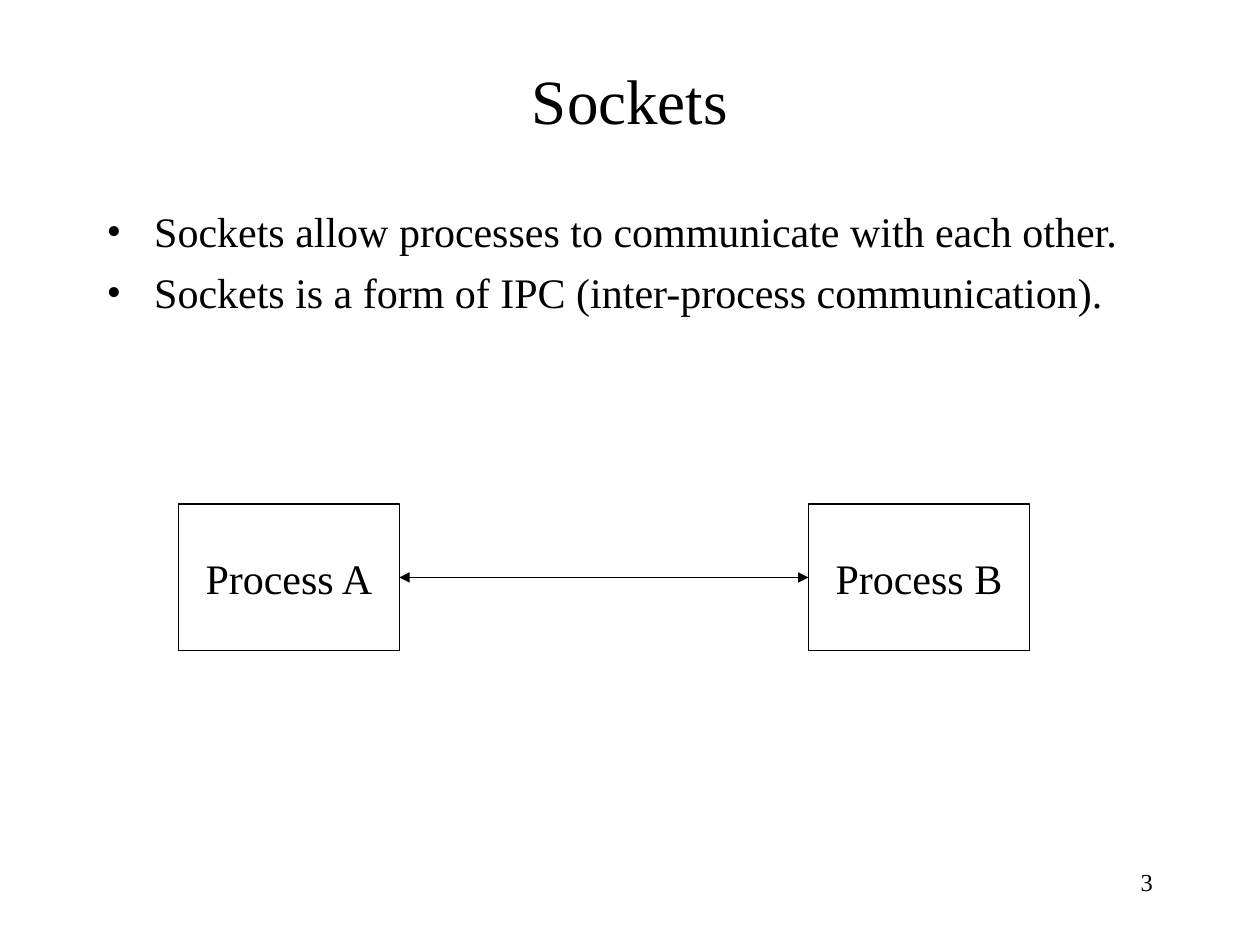
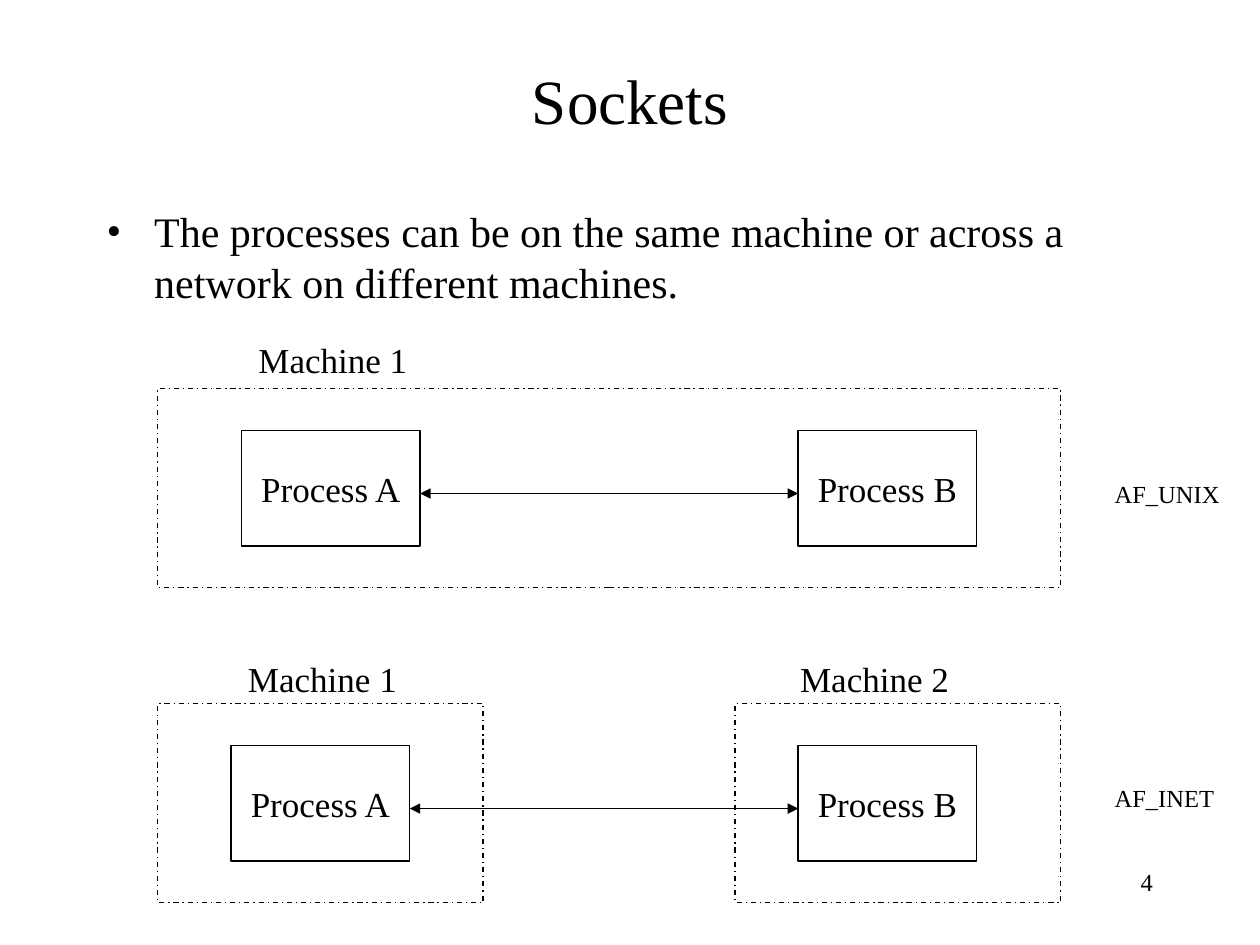
from lxml.etree import SubElement
from pptx import Presentation
from pptx.dml.color import RGBColor
from pptx.enum.dml import MSO_LINE
from pptx.enum.shapes import MSO_CONNECTOR, MSO_SHAPE
from pptx.enum.text import MSO_ANCHOR, PP_ALIGN
from pptx.oxml.ns import qn
from pptx.util import Cm, Pt

BLACK = RGBColor(0, 0, 0)
FONT = "Times New Roman"
LINE_WIDTH = Pt(0.75)
FIRST_NUMBER = 3
INDENT = Cm(0.96)

TITLE_BOX = (1.9, 0.42, 21.6, 3.18)
BODY_BOX = (1.9, 4.02, 21.6, 14.4)
NUMBER_BOX = (18.2, 17.35, 5.29, 1.27)

SLIDES = [
    {
        "title": "Sockets",
        "bullets": [
            "Sockets allow processes to communicate with each other.",
            "Sockets is a form of IPC (inter-process communication).",
        ],
        "pairs": [
            {"lefts": (3.6, 16.3), "top": 10.16, "size": (4.45, 2.96),
             "arrow_drop": 1.48, "font_size": 24},
        ],
        "machines": [],
        "labels": [],
    },
    {
        "title": "Sockets",
        "bullets": [
            "The processes can be on the same machine or across a network "
            "on different machines.",
        ],
        "pairs": [
            {"lefts": (4.87, 16.09), "top": 8.68, "size": (3.6, 2.33),
             "arrow_drop": 1.27, "font_size": 20},
            {"lefts": (4.66, 16.09), "top": 15.03, "size": (3.6, 2.33),
             "arrow_drop": 1.27, "font_size": 20},
        ],
        "machines": [
            (3.18, 7.83, 18.2, 4.02),
            (3.18, 14.18, 6.56, 4.02),
            (14.82, 14.18, 6.56, 4.02),
        ],
        "labels": [
            ("Machine 1", 20, (4.96, 6.7, 3.8, 1.12)),
            ("Machine 1", 20, (4.75, 13.13, 3.8, 1.12)),
            ("Machine 2", 20, (15.88, 13.13, 3.8, 1.12)),
            ("AF_UNIX", 14, (22.22, 9.53, 2.8, 0.86)),
            ("AF_INET", 14, (22.22, 15.66, 2.8, 0.86)),
        ],
    },
]


def lengths(box):
    return [Cm(value) for value in box]


def write_text(shape, *lines, size=24, align=PP_ALIGN.LEFT,
               anchor=MSO_ANCHOR.TOP, wrap=True, bullet=False):
    frame = shape.text_frame
    frame.text = "\n".join(lines)
    frame.word_wrap = wrap
    frame.vertical_anchor = anchor
    frame.margin_left = frame.margin_right = Cm(0.25)
    frame.margin_top = frame.margin_bottom = Cm(0.13)
    for paragraph in frame.paragraphs:
        paragraph.alignment = align
        for run in paragraph.runs:
            run.font.name = FONT
            run.font.size = Pt(size)
            run.font.color.rgb = BLACK
        if bullet:
            paragraph.space_before = Pt(6)
            properties = paragraph._p.get_or_add_pPr()
            properties.set("marL", str(INDENT))
            properties.set("indent", str(-INDENT))
            SubElement(properties, qn("a:buFont"), typeface=FONT)
            SubElement(properties, qn("a:buChar"), char="•")


def add_text(slide, box, *lines, **text_format):
    write_text(slide.shapes.add_textbox(*lengths(box)), *lines, **text_format)


def add_outline(slide, box, dash=None):
    rectangle = slide.shapes.add_shape(MSO_SHAPE.RECTANGLE, *lengths(box))
    rectangle.shadow.inherit = False
    rectangle.fill.background()
    rectangle.line.color.rgb = BLACK
    rectangle.line.width = LINE_WIDTH
    if dash:
        rectangle.line.dash_style = dash
    return rectangle


def add_double_arrow(slide, start, end, level):
    arrow = slide.shapes.add_connector(
        MSO_CONNECTOR.STRAIGHT, *lengths((start, level, end, level)))
    arrow.line.color.rgb = BLACK
    arrow.line.width = LINE_WIDTH
    outline = arrow.line._get_or_add_ln()
    for end_tag in ("a:headEnd", "a:tailEnd"):
        SubElement(outline, qn(end_tag), type="triangle")
    SubElement(arrow._element.spPr, qn("a:effectLst"))


def add_process_pair(slide, pair):
    width, height = pair["size"]
    for name, left in zip("AB", pair["lefts"]):
        process = add_outline(slide, (left, pair["top"], width, height))
        write_text(process, f"Process {name}", size=pair["font_size"],
                   align=PP_ALIGN.CENTER, anchor=MSO_ANCHOR.MIDDLE, wrap=False)
    first_left, second_left = pair["lefts"]
    add_double_arrow(slide, first_left + width, second_left,
                     pair["top"] + pair["arrow_drop"])


def add_slide(presentation, content, number):
    slide = presentation.slides.add_slide(presentation.slide_layouts[5])
    title = slide.shapes.title
    title.left, title.top, title.width, title.height = lengths(TITLE_BOX)
    write_text(title, content["title"], size=36, align=PP_ALIGN.CENTER,
               anchor=MSO_ANCHOR.MIDDLE)
    add_text(slide, BODY_BOX, *content["bullets"], bullet=True)
    for box in content["machines"]:
        add_outline(slide, box, dash=MSO_LINE.DASH_DOT)
    for pair in content["pairs"]:
        add_process_pair(slide, pair)
    for label, size, box in content["labels"]:
        add_text(slide, box, label, size=size)
    add_text(slide, NUMBER_BOX, str(number), size=14, align=PP_ALIGN.RIGHT)


def main():
    presentation = Presentation()
    presentation.slide_width = Cm(25.4)
    presentation.slide_height = Cm(19.05)
    for number, content in enumerate(SLIDES, FIRST_NUMBER):
        add_slide(presentation, content, number)
    presentation.save("out.pptx")


if __name__ == "__main__":
    main()
